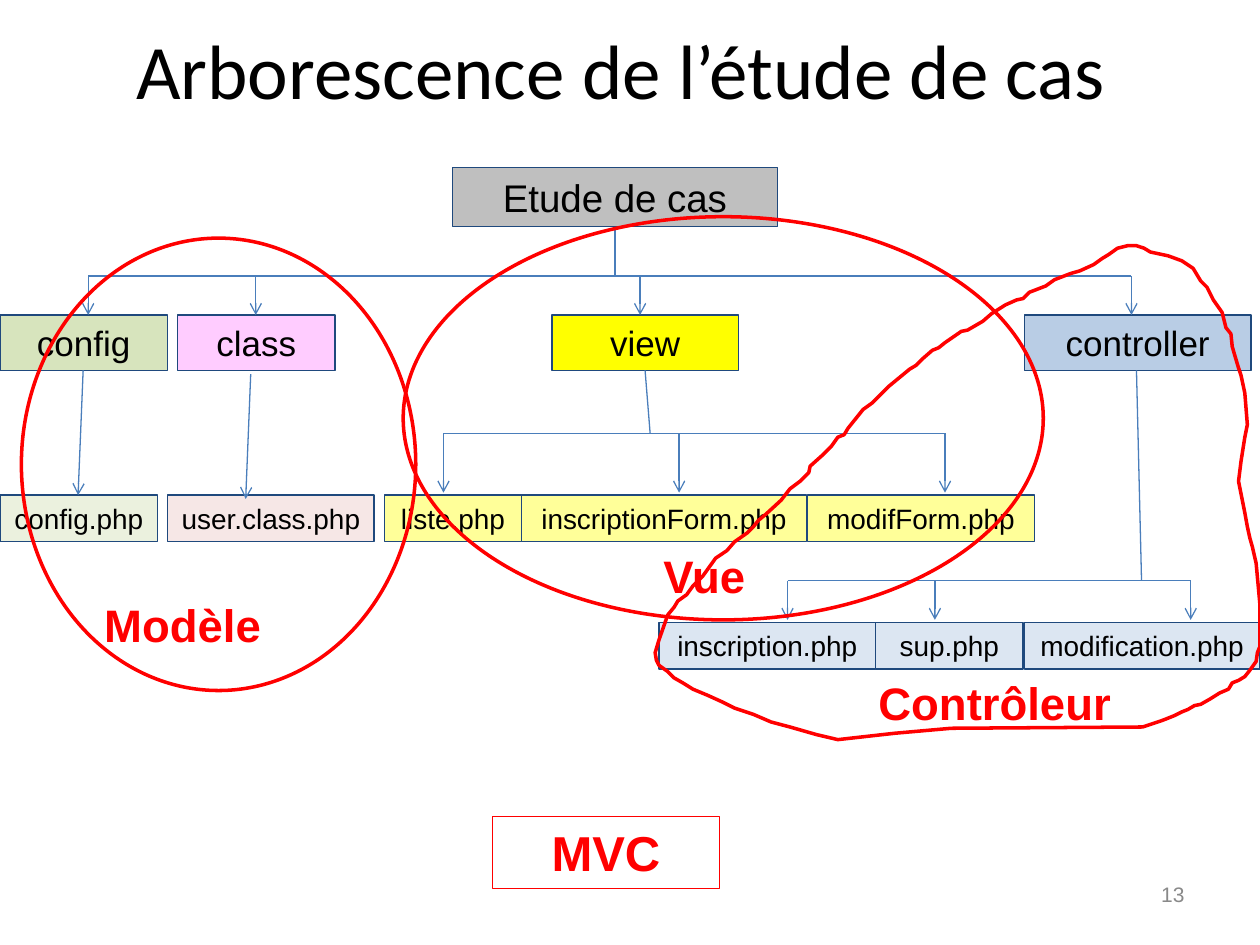
from dataclasses import dataclass
from typing import NamedTuple

from lxml.etree import SubElement
from pptx import Presentation
from pptx.dml.color import RGBColor
from pptx.enum.shapes import MSO_CONNECTOR, MSO_SHAPE
from pptx.enum.text import MSO_ANCHOR, PP_ALIGN
from pptx.oxml.ns import qn
from pptx.util import Inches, Pt


@dataclass(frozen=True)
class Theme:
    body_font: str = "Arial"
    title_font: str = "Calibri"
    ink: str = "000000"
    red: str = "FF0000"
    muted: str = "898989"
    border: str = "1F497D"
    branch: str = "4A7EBB"
    title_size: int = 44
    root_size: int = 22
    folder_size: int = 20
    file_size: int = 16
    group_size: int = 26
    pattern_size: int = 28
    number_size: int = 12
    thin: float = 0.75
    thick: float = 2


class Node(NamedTuple):
    text: str
    left: float
    width: float
    fill: str


class Level(NamedTuple):
    top: float
    height: float
    size: int
    nodes: list[Node]


class Point(NamedTuple):
    x: float
    y: float


class Branch(NamedTuple):
    start: Point
    joint: Point
    drops: list[float]
    tip: float


class Group(NamedTuple):
    text: str
    left: float
    top: float
    width: float


class Oval(NamedTuple):
    left: float
    top: float
    width: float
    height: float


THEME = Theme()

LEVELS = [
    Level(2.5, 0.44, THEME.folder_size, [
        Node("config", 0, 1.33, "D7E4BD"),
        Node("class", 1.41, 1.25, "FFCCFF"),
        Node("view", 4.38, 1.48, "FFFF00"),
        Node("controller", 8.13, 1.8, "B9CDE5"),
    ]),
    Level(3.93, 0.37, THEME.file_size, [
        Node("config.php", 0, 1.25, "EBF1DE"),
        Node("user.class.php", 1.33, 1.64, "F6E7E6"),
        Node("liste.php", 3.05, 1.09, "FFFF99"),
        Node("inscriptionForm.php", 4.14, 2.26, "FFFF99"),
        Node("modifForm.php", 6.41, 1.8, "FFFF99"),
    ]),
    Level(4.94, 0.37, THEME.file_size, [
        Node("inscription.php", 5.23, 1.72, "DCE6F2"),
        Node("sup.php", 6.95, 1.17, "DCE6F2"),
        Node("modification.php", 8.13, 1.87, "DCE6F2"),
    ]),
    Level(1.33, 0.47, THEME.root_size, [Node("Etude de cas", 3.59, 2.58, "BFBFBF")]),
]

BRANCHES = [
    Branch(Point(4.88, 1.8), Point(4.88, 2.19), [0.7, 2.03, 5.08, 8.98], 2.5),
    Branch(Point(5.12, 2.94), Point(5.16, 3.44), [3.52, 5.39, 7.5], 3.91),
    Branch(Point(9.02, 2.94), Point(9.06, 4.61), [6.25, 7.42, 9.45], 4.92),
]
SINGLE_ARROWS = [
    (Point(0.66, 2.94), Point(0.62, 3.93)),
    (Point(1.99, 2.97), Point(1.95, 3.96)),
]
OVALS = [Oval(3.2, 1.72, 5.08, 3.2), Oval(0.17, 1.89, 3.13, 3.59)]
GROUPS = [
    Group("Modèle", 0.55, 4.69, 1.8),
    Group("Vue", 4.69, 4.3, 1.8),
    Group("Contrôleur", 6.8, 5.31, 2.19),
]
CONTROLLER_OUTLINE = [
    (9.02, 1.95), (8.95, 1.95), (8.87, 1.97), (8.8, 2.02), (8.75, 2.05), (8.68, 2.1),
    (8.57, 2.15), (8.5, 2.17), (8.37, 2.22), (8.3, 2.27), (8.17, 2.32), (8.12, 2.37),
    (8.07, 2.38), (7.98, 2.42), (7.87, 2.49), (7.8, 2.55), (7.68, 2.62), (7.63, 2.63),
    (7.5, 2.72), (7.45, 2.76), (7.4, 2.78), (7.32, 2.85), (7.27, 2.9), (7.22, 2.93),
    (7.05, 3.07), (6.92, 3.2), (6.85, 3.25), (6.73, 3.4), (6.7, 3.45), (6.65, 3.47),
    (6.6, 3.54), (6.52, 3.62), (6.43, 3.7), (6.42, 3.75), (6.35, 3.82), (6.27, 3.88),
    (6.2, 3.97), (6.08, 4.08), (6.02, 4.13), (5.98, 4.18), (5.93, 4.23), (5.83, 4.3),
    (5.77, 4.37), (5.68, 4.43), (5.58, 4.57), (5.5, 4.65), (5.45, 4.72), (5.38, 4.77),
    (5.35, 4.82), (5.3, 4.88), (5.23, 5.08), (5.2, 5.18), (5.21, 5.24), (5.23, 5.28),
    (5.3, 5.33), (5.35, 5.38), (5.42, 5.42), (5.5, 5.47), (5.62, 5.52), (5.73, 5.57),
    (5.83, 5.62), (5.98, 5.67), (6.12, 5.73), (6.27, 5.77), (6.48, 5.83), (6.65, 5.87),
    (7.1, 5.82), (7.55, 5.78), (9.07, 5.77), (9.22, 5.72), (9.27, 5.7), (9.32, 5.68),
    (9.38, 5.65), (9.43, 5.63), (9.48, 5.6), (9.53, 5.59), (9.6, 5.55), (9.68, 5.5),
    (9.75, 5.47), (9.78, 5.42), (9.83, 5.4), (9.88, 5.37), (9.92, 5.32), (9.97, 5.25),
    (9.98, 5.18), (10, 5.13), (10, 4.8), (9.97, 4.47), (9.94, 4.34), (9.92, 4.27),
    (9.9, 4.18), (9.88, 4.07), (9.85, 3.92), (9.83, 3.82), (9.85, 3.66), (9.88, 3.47),
    (9.9, 3.37), (9.88, 3.12), (9.85, 2.98), (9.83, 2.92), (9.8, 2.82), (9.78, 2.75),
    (9.77, 2.65), (9.73, 2.6), (9.7, 2.48), (9.63, 2.38), (9.58, 2.28), (9.53, 2.23),
    (9.47, 2.13), (9.38, 2.07), (9.27, 2.03), (9.13, 2), (9.08, 1.97),
]


def style_text(box, text: str, size: int, color: str = THEME.ink, bold: bool = False,
               font: str = THEME.body_font, align=PP_ALIGN.CENTER, anchor=MSO_ANCHOR.TOP) -> None:
    frame = box.text_frame
    frame.word_wrap = True
    frame.vertical_anchor = anchor
    frame.text = text
    para = frame.paragraphs[0]
    para.alignment = align
    for span in para.runs:
        span.font.name = font
        span.font.size = Pt(size)
        span.font.bold = bold
        span.font.color.rgb = RGBColor.from_string(color)


def style_shape(shape, line: str, weight: float, fill: str | None = None) -> None:
    shape.shadow.inherit = False
    shape.line.color.rgb = RGBColor.from_string(line)
    shape.line.width = Pt(weight)
    if fill:
        shape.fill.solid()
        shape.fill.fore_color.rgb = RGBColor.from_string(fill)
    else:
        shape.fill.background()


def add_preset(page, kind, left: float, top: float, width: float, height: float):
    return page.shapes.add_shape(kind, Inches(left), Inches(top), Inches(width), Inches(height))


def add_label(page, left: float, top: float, width: float, height: float):
    return page.shapes.add_textbox(Inches(left), Inches(top), Inches(width), Inches(height))


def draw_level(page, level: Level) -> None:
    for node in level.nodes:
        box = add_preset(page, MSO_SHAPE.RECTANGLE, node.left, level.top, node.width, level.height)
        style_shape(box, THEME.border, THEME.thin, node.fill)
        style_text(box, node.text, level.size)


def draw_line(page, start: Point, end: Point, arrow: bool = False) -> None:
    line = page.shapes.add_connector(MSO_CONNECTOR.STRAIGHT, Inches(start.x), Inches(start.y),
                                     Inches(end.x), Inches(end.y))
    line.line.color.rgb = RGBColor.from_string(THEME.branch)
    line.line.width = Pt(THEME.thin)
    properties = line._element.spPr
    if arrow:
        SubElement(properties.find(qn("a:ln")), qn("a:tailEnd"), type="arrow")
    SubElement(properties, qn("a:effectLst"))


def draw_branch(page, branch: Branch) -> None:
    height = branch.joint.y
    draw_line(page, branch.start, branch.joint)
    draw_line(page, Point(branch.drops[0], height), Point(branch.drops[-1], height))
    for x in branch.drops:
        draw_line(page, Point(x, height), Point(x, branch.tip), arrow=True)


def draw_outline(page, points: list[tuple[float, float]]) -> None:
    start, *rest = [(Inches(x), Inches(y)) for x, y in points]
    builder = page.shapes.build_freeform(*start)
    builder.add_line_segments(rest, close=True)
    style_shape(builder.convert_to_shape(), THEME.red, THEME.thick)


def main() -> None:
    deck = Presentation()
    deck.slide_width, deck.slide_height = Inches(10), Inches(7.5)
    page = deck.slides.add_slide(deck.slide_layouts[5])

    title = page.shapes.title
    title.left, title.top, title.width, title.height = map(Inches, (0.5, 0, 9, 1.09))
    style_text(title, "Arborescence de l’étude de cas ", THEME.title_size,
               font=THEME.title_font, anchor=MSO_ANCHOR.MIDDLE)
    number = add_label(page, 7.17, 6.95, 2.33, 0.4)
    style_text(number, "13", THEME.number_size, THEME.muted, align=PP_ALIGN.RIGHT)

    for level in LEVELS:
        draw_level(page, level)
    for branch in BRANCHES:
        draw_branch(page, branch)
    for start, end in SINGLE_ARROWS:
        draw_line(page, start, end, arrow=True)
    for oval in OVALS:
        style_shape(add_preset(page, MSO_SHAPE.OVAL, *oval), THEME.red, THEME.thick)
    draw_outline(page, CONTROLLER_OUTLINE)
    for group in GROUPS:
        label = add_label(page, group.left, group.top, group.width, 0.54)
        style_text(label, group.text, THEME.group_size, THEME.red, bold=True)

    pattern = add_preset(page, MSO_SHAPE.RECTANGLE, 3.91, 6.48, 1.8, 0.57)
    style_shape(pattern, THEME.red, THEME.thin)
    style_text(pattern, "MVC", THEME.pattern_size, THEME.red, bold=True)
    deck.save("out.pptx")


if __name__ == "__main__":
    main()
